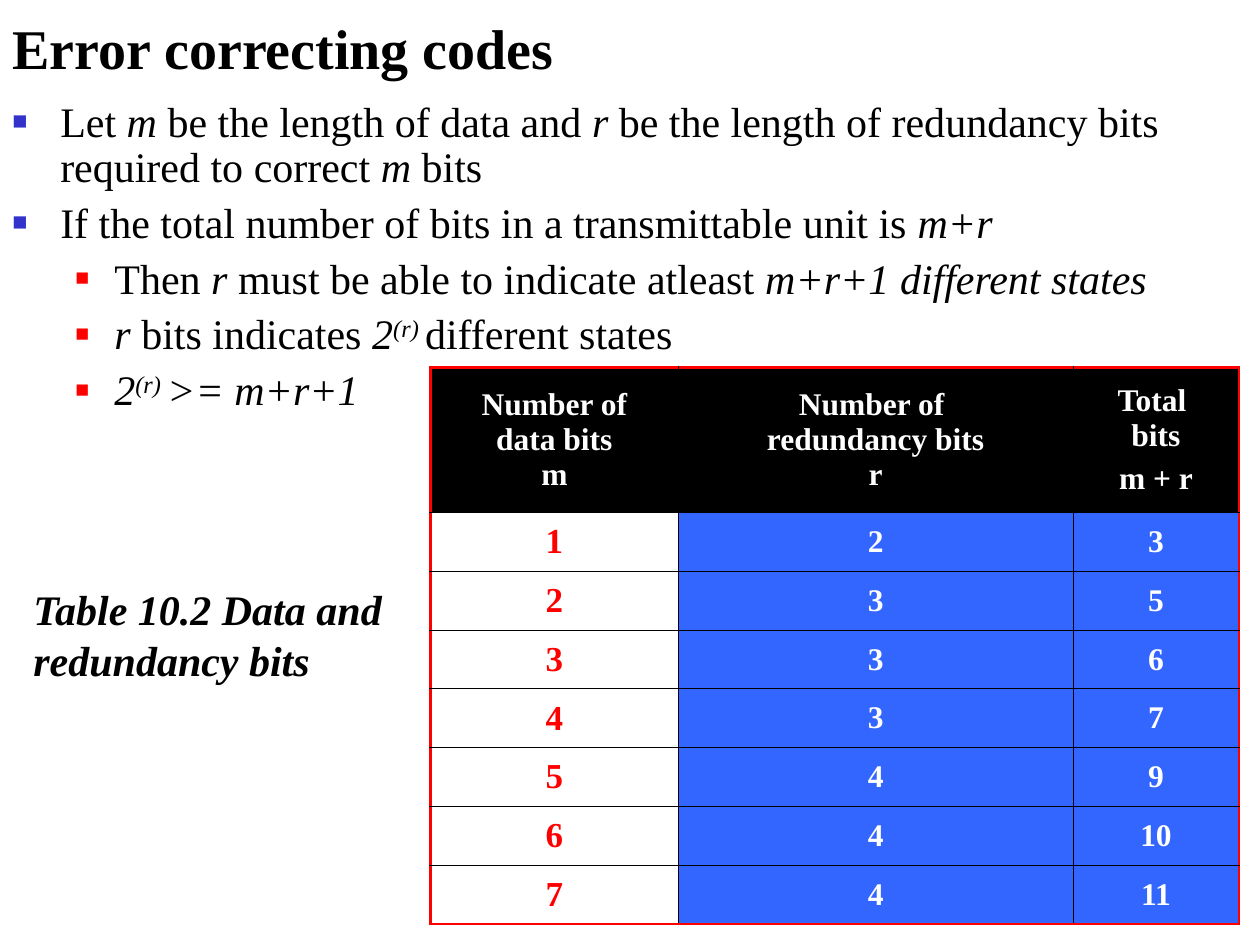
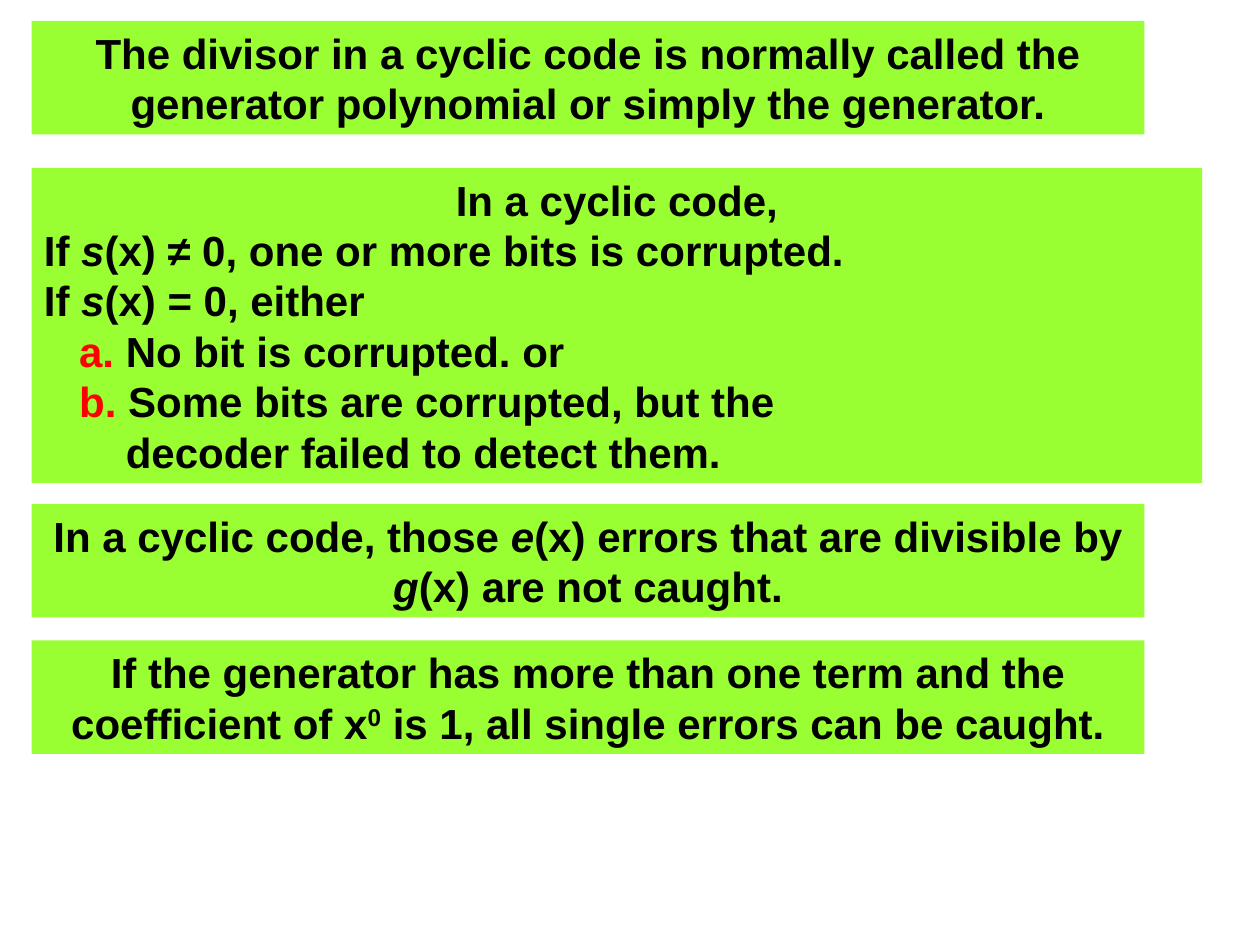
from lxml.etree import SubElement
from pptx import Presentation
from pptx.dml.color import RGBColor
from pptx.enum.shapes import MSO_SHAPE
from pptx.enum.text import MSO_ANCHOR, PP_ALIGN
from pptx.oxml.ns import qn
from pptx.util import Inches, Pt

COLS, ROWS = 120, 90          # grid of twelfths of an inch
HUES = {"ink": "000000", "paper": "FFFFFF", "red": "FF0000",
        "blue": "3366FF", "dot": "3333CC", "lime": "99FF33"}
SERIF, SANS = "Times New Roman", "Arial"
MARKS = {"*": "italic", "^": "raised", "~": "red"}


def grid(num):
    return Inches(num / 12)


def place(box):
    return [grid(num) for num in box]


def rgb(hue):
    return RGBColor.from_string(HUES[hue])


def paint(parent, hue):
    fill = SubElement(parent, qn("a:solidFill"))
    SubElement(fill, qn("a:srgbClr"), val=HUES[hue])


def split(text):
    """Yield (piece, active styles); *italic*, ^raised^ and ~red~ toggle."""
    piece, active = "", set()
    for char in text:
        if char in MARKS:
            if piece:
                yield piece, set(active)
            piece = ""
            active ^= {MARKS[char]}
        else:
            piece += char
    if piece:
        yield piece, active


def indent(para, left, hang):
    props = para._p.get_or_add_pPr()
    props.set("marL", str(Inches(left)))
    props.set("indent", str(-Inches(hang)))
    return props


def bullet(para, left, hang, hue, size):
    props = indent(para, left, hang)
    color = SubElement(props, qn("a:buClr"))
    SubElement(color, qn("a:srgbClr"), val=HUES[hue])
    SubElement(props, qn("a:buSzPct"), val=str(size * 1000))
    SubElement(props, qn("a:buFont"), typeface=SANS)
    SubElement(props, qn("a:buChar"), char="■")


def write(frame, text, first=True, font=SERIF, size=24, hue="ink", bold=False,
          align=PP_ALIGN.LEFT, dot=None, hang=None, gap=0, lead=None):
    """Write one paragraph of marked text into a frame."""
    para = frame.paragraphs[0] if first else frame.add_paragraph()
    if dot:
        bullet(para, *dot)
    if hang:
        indent(para, *hang)
    para.alignment = align
    if lead:
        para.line_spacing = lead
    if gap and not first:
        para.space_before = Pt(gap)
    for piece, styles in split(text):
        for num, line in enumerate(piece.split("\n")):
            if num:
                para.add_line_break()
            if not line:
                continue
            run = para.add_run()
            run.text = line
            face = run.font
            face.name, face.size, face.bold = font, Pt(size), bold
            face.italic = "italic" in styles
            face.color.rgb = rgb("red" if "red" in styles else hue)
            if "raised" in styles:
                run._r.get_or_add_rPr().set("baseline", "30000")


def label(slide, box, text, anchor=MSO_ANCHOR.TOP, **style):
    frame = slide.shapes.add_textbox(*place(box)).text_frame
    frame.word_wrap = True
    frame.vertical_anchor = anchor
    write(frame, text, **style)
    return frame


def points(slide, box, items):
    frame = slide.shapes.add_textbox(*place(box)).text_frame
    frame.word_wrap = True
    dots = [(0.38, 0.38, "dot", 60), (0.81, 0.31, "red", 55)]
    for num, (level, text) in enumerate(items):
        write(frame, text, first=num == 0, dot=dots[level], gap=6, lead=0.9)


def edge(cell, side, outer):
    props = cell._tc.get_or_add_tcPr()
    width = Pt(1.47 if outer else 0.45)
    paint(SubElement(props, qn(f"a:ln{side}"), w=str(width)),
          "red" if outer else "ink")


def table(slide, box, heads, pairs, widths, tall):
    """Draw the bit counts; the last column is the sum of the first two."""
    count = len(pairs) + 1
    grid_table = slide.shapes.add_table(count, len(heads), *place(box)).table
    grid_table.first_row = grid_table.horz_banding = False
    for col, width in zip(grid_table.columns, widths):
        col.width = grid(width)
    for num, row in enumerate(grid_table.rows):
        row.height = grid((box[3] - tall) / len(pairs) if num else tall)
    body = [[str(data), str(extra), str(data + extra)] for data, extra in pairs]
    for num, row in enumerate([heads] + body):
        for pos, text in enumerate(row):
            cell = grid_table.cell(num, pos)
            cell.vertical_anchor = MSO_ANCHOR.MIDDLE
            key = num > 0 and pos == 0
            for side, outer in (("L", pos == 0), ("R", pos == len(row) - 1),
                                ("T", num == 0), ("B", num == count - 1)):
                edge(cell, side, outer)
            cell.fill.solid()
            cell.fill.fore_color.rgb = rgb(
                "ink" if num == 0 else "paper" if key else "blue")
            for part, line in enumerate(text.split("|")):
                write(cell.text_frame, line, first=part == 0, bold=True,
                      size=20 if key else 18, hue="red" if key else "paper",
                      align=PP_ALIGN.CENTER, gap=4.5)


def note(slide, box, lines):
    """Draw a lime box; its first line is centred, the rest follow left."""
    shape = slide.shapes.add_shape(MSO_SHAPE.RECTANGLE, *place(box))
    shape.shadow.inherit = False
    shape.fill.solid()
    shape.fill.fore_color.rgb = rgb("lime")
    shape.line.fill.background()
    frame = shape.text_frame
    frame.word_wrap = True
    frame.vertical_anchor = MSO_ANCHOR.TOP
    for num, text in enumerate(lines):
        write(frame, text, first=num == 0, font=SANS, bold=True,
              align=PP_ALIGN.LEFT if num else PP_ALIGN.CENTER,
              hang=(0.65, 0.37) if text.startswith("~") else None)


def codes(slide):
    points(slide, (0, 9, 112, 32), [
        (0, "Let *m* be the length of data and *r* be the length of "
            "redundancy bits required to correct *m* bits"),
        (0, "If the total number of bits in a transmittable unit is *m+r*"),
        (1, "Then *r* must be able to indicate atleast "
            "*m+r+1 different states*"),
        (1, "*r *bits indicates* 2^(r) ^*different states"),
        (1, "*2^(r) ^>= m+r+1*")])
    label(slide, (0, 0, 111, 9), "Error correcting codes",
          size=32, bold=True, anchor=MSO_ANCHOR.MIDDLE)
    table(slide, (41, 35, 77, 53),
          ["Number of\ndata bits\nm", "Number of \nredundancy bits\nr",
           "Total \nbits|m + r"],
          [(1, 2), (2, 3), (3, 3), (4, 3), (5, 4), (6, 4), (7, 4)],
          widths=(23.6, 37.6, 15.8), tall=13.8)
    label(slide, (2, 55, 38.6, 10.8),
          "*Table 10.2 Data and redundancy bits*", bold=True)


def cyclic(slide):
    wide, low = 106, 10.8
    notes = [
        (2, wide, low, ["The divisor in a cyclic code is normally called the "
                        "generator polynomial or simply the generator."]),
        (16, 111.5, 30, ["In a cyclic code,",
                         "If *s*(x) ≠ 0, one or more bits is corrupted.",
                         "If *s*(x) = 0, either",
                         "~a.~ No bit is corrupted. or",
                         "~b.~ Some bits are corrupted, but the\n"
                         "decoder failed to detect them."]),
        (48, wide, low, ["In a cyclic code, those *e*(x) errors that are "
                         "divisible by *g*(x) are not caught."]),
        (61, wide, low, ["If the generator has more than one term and the "
                         "coefficient of x^0^ is 1, all single errors can "
                         "be caught."])]
    for top, width, height, lines in notes:
        note(slide, (3, top, width, height), lines)


def main():
    deck = Presentation()
    deck.slide_width, deck.slide_height = grid(COLS), grid(ROWS)
    for draw in (codes, cyclic):
        draw(deck.slides.add_slide(deck.slide_layouts[6]))
    deck.save("out.pptx")


if __name__ == "__main__":
    main()
